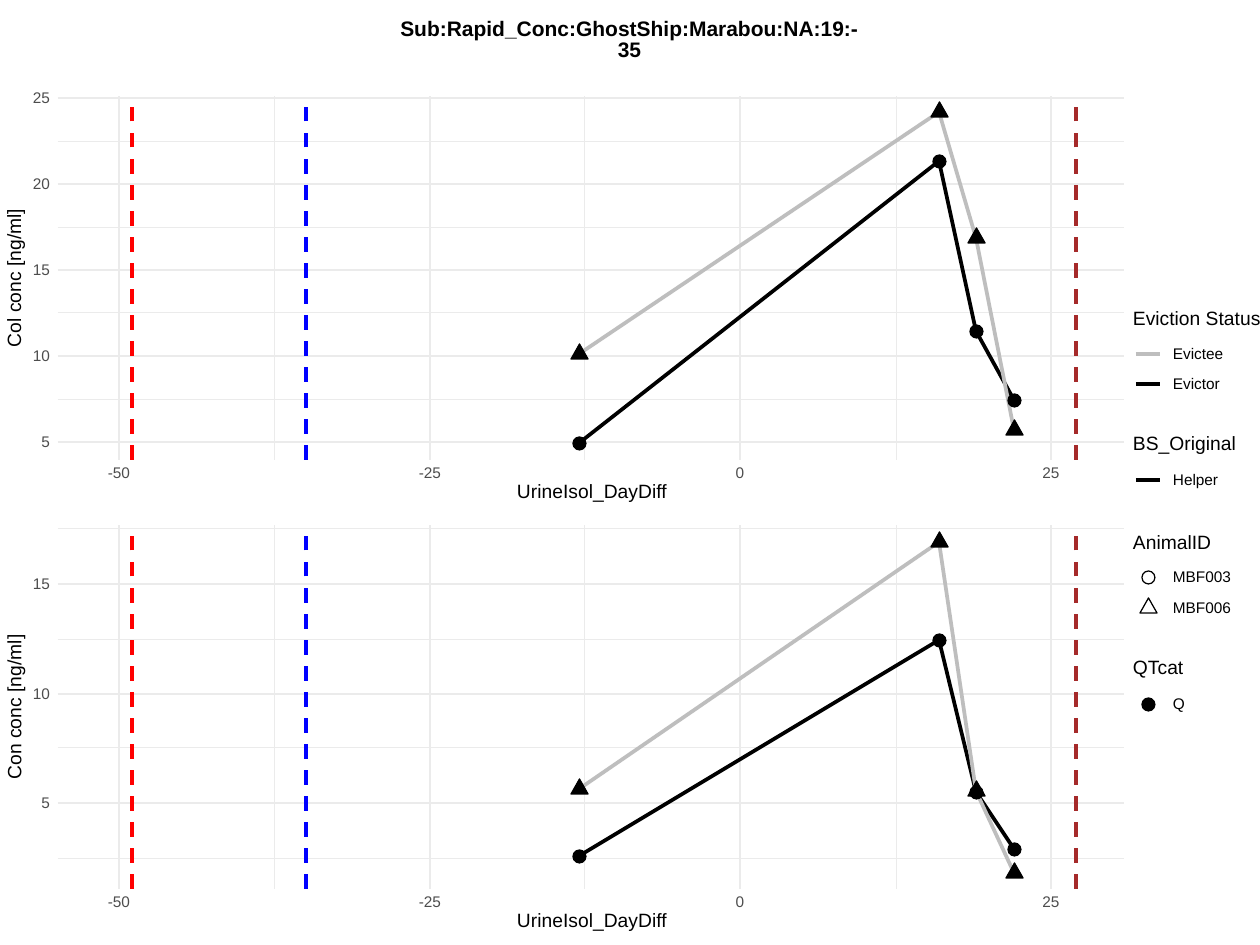
from pptx import Presentation
from pptx.dml.color import RGBColor
from pptx.enum.dml import MSO_LINE
from pptx.enum.shapes import MSO_CONNECTOR, MSO_SHAPE
from pptx.enum.text import MSO_ANCHOR, MSO_AUTO_SIZE, PP_ALIGN
from pptx.oxml.ns import qn
from pptx.util import Pt
from lxml import etree

DASH = MSO_LINE.DASH
STRAIGHT = MSO_CONNECTOR.STRAIGHT
OVAL, TRIANGLE = MSO_SHAPE.OVAL, MSO_SHAPE.ISOSCELES_TRIANGLE
MIDDLE = MSO_ANCHOR.MIDDLE
LEFT, CENTER, RIGHT = PP_ALIGN.LEFT, PP_ALIGN.CENTER, PP_ALIGN.RIGHT
NO_FIT = MSO_AUTO_SIZE.NONE

SCALE = 914400 / 126
COLORS = {"black": "000000", "tick": "4D4D4D", "grid": "EBEBEB", "gray": "BEBEBE",
          "red": "FF0000", "blue": "0000FF", "brown": "A52A2A"}
MINOR, MAJOR, THIN, THICK = 0.53, 1.07, 0.71, 2.13

# Plot data
DAYS = [-13, 16, 19, 22]
EVENTS = [(-49, "red"), (-35, "blue"), (27, "brown")]
X_MAJOR, X_MINOR = [-50, -25, 0, 25], [-37.5, -12.5, 12.5]
PANELS = [
    dict(title="Col conc [ng/ml]", title_w=139, top=96, y5=442, unit=17.2,
         major=[5, 10, 15, 20, 25], minor=[7.5, 12.5, 17.5, 22.5],
         evictor=[4.93, 21.32, 11.43, 7.47], evictee=[10.1, 24.2, 16.85, 5.7]),
    dict(title="Con conc [ng/ml]", title_w=145, top=525, y5=803, unit=21.9,
         major=[5, 10, 15], minor=[2.5, 7.5, 12.5, 17.5],
         evictor=[2.6, 12.44, 5.48, 2.88], evictee=[5.65, 16.93, 5.53, 1.79]),
]
PANEL_LEFT, PANEL_RIGHT, PANEL_H = 58, 1124, 364

# Legend: title, width, centre y, then entries (label, width, centre y, key, colour)
LEGEND = [
    ("Eviction Status", 127, 320, [("Evictee", 50, 354, "line", "gray"),
                                   ("Evictor", 47, 384, "line", "black")]),
    ("BS_Original", 103, 445, [("Helper", 45, 480, "line", "black")]),
    ("AnimalID", 78, 544, [("MBF003", 58, 577, OVAL, None),
                           ("MBF006", 58, 608, TRIANGLE, None)]),
    ("QTcat", 53, 669, [("Q", 13, 704, OVAL, "black")]),
]


def px(n):
    return round(n * SCALE)


def rgb(name):
    return RGBColor.from_string(COLORS[name])


def format_text(tf, text, size=11, color="black", bold=False, align=LEFT):
    tf.margin_left = tf.margin_right = tf.margin_top = tf.margin_bottom = 0
    tf.word_wrap, tf.auto_size, tf.vertical_anchor = False, NO_FIT, MIDDLE
    p = tf.paragraphs[0]
    p.alignment, p.line_spacing = align, Pt(size)
    r = p.add_run()
    r.text = text
    r.font.name, r.font.size, r.font.bold = "Arial", Pt(size), bold
    r.font.color.rgb = rgb(color)


class Plot:
    def __init__(self, prs):
        self.s = prs.slides.add_slide(prs.slide_layouts[5])

    def title(self, text, x, y, w, h):
        sp = self.s.shapes.title
        sp.left, sp.top, sp.width, sp.height = px(x), px(y), px(w), px(h)
        format_text(sp.text_frame, text, size=12, bold=True, align=CENTER)

    def text(self, text, x, y, w, h, rotation=0, **style):
        sp = self.s.shapes.add_textbox(px(x), px(y), px(w), px(h))
        sp.rotation = rotation
        format_text(sp.text_frame, text, **style)

    def outline(self, line, color, width):
        line.color.rgb, line.width = rgb(color), Pt(width)

    def line(self, x1, y1, x2, y2, color, width, dash=None):
        sp = self.s.shapes.add_connector(STRAIGHT, px(x1), px(y1), px(x2), px(y2))
        self.outline(sp.line, color, width)
        if dash:
            sp.line.dash_style = dash
        etree.SubElement(sp._element.spPr, qn("a:effectLst"))

    def path_line(self, points, color):
        points = [(px(x), px(y)) for x, y in points]
        fb = self.s.shapes.build_freeform(*points[0])
        fb.add_line_segments(points[1:], close=False)
        sp = fb.convert_to_shape()
        sp.fill.background()
        sp.shadow.inherit = False
        self.outline(sp.line, color, THICK)

    def marker(self, kind, x, y, fill="black"):
        dx, dy, w, h = (6, 6, 13, 13) if kind == OVAL else (8, 10, 17, 15)
        sp = self.s.shapes.add_shape(kind, px(x - dx), px(y - dy), px(w), px(h))
        sp.shadow.inherit = False
        if fill:
            sp.fill.solid()
            sp.fill.fore_color.rgb = rgb(fill)
        else:
            sp.fill.background()
        self.outline(sp.line, "black", THIN)

    def panel(self, title, title_w, top, y5, unit, major, minor, evictor, evictee):
        bottom = top + PANEL_H

        def x_at(day):
            return round(740.4 + 12.42 * day)

        def y_at(conc):
            return round(y5 - unit * (conc - 5))

        # Grid
        for ys, xs, width in ((minor, X_MINOR, MINOR), (major, X_MAJOR, MAJOR)):
            for y in map(y_at, ys):
                self.line(PANEL_LEFT, y, PANEL_RIGHT, y, "grid", width)
            for x in map(x_at, xs):
                self.line(x, bottom, x, top, "grid", width)

        # Series, then their markers
        series = [[(x_at(d), y_at(c)) for d, c in zip(DAYS, values)]
                  for values in (evictor, evictee)]
        for points, color in zip(series, ("black", "gray")):
            self.path_line(points, color)
        for points, kind in zip(series, (OVAL, TRIANGLE)):
            for x, y in points:
                self.marker(kind, x, y)

        # Event days
        for day, color in EVENTS:
            self.line(x_at(day), bottom, x_at(day), top, color, THICK, DASH)

        # Axis labels and titles
        tick = dict(size=8.8, color="tick")
        for value in major:
            w = 9 * len(str(value))
            self.text(str(value), 50 - w, y_at(value) - 5, w, 11, align=RIGHT, **tick)
        for value in X_MAJOR:
            w = 8 * len(str(value))
            self.text(str(value), x_at(value) - w // 2, bottom + 8, w, 11,
                      align=CENTER, **tick)
        self.text("UrineIsol_DayDiff", 517, bottom + 24, 150, 18, align=CENTER)
        self.text(title, 15 - title_w // 2, top + PANEL_H // 2 - 9, title_w, 18,
                  rotation=270, align=CENTER)

    def legend(self, title, width, y, entries):
        self.text(title, 1133, y - 7, width, 14)
        for label, w, cy, key, color in entries:
            if key == "line":
                self.line(1136, cy, 1160, cy, color, THICK)
            else:
                self.marker(key, 1148, cy, color)
            self.text(label, 1173, cy - 5, w, 11, size=8.8)


def main():
    prs = Presentation()
    prs.slide_width, prs.slide_height = px(1260), px(945)
    plot = Plot(prs)
    plot.title("Sub:Rapid_Conc:GhostShip:Marabou:NA:19:-35", 389, 31, 481, 19)
    for panel in PANELS:
        plot.panel(**panel)
    for group in LEGEND:
        plot.legend(*group)
    prs.save("out.pptx")


if __name__ == "__main__":
    main()
